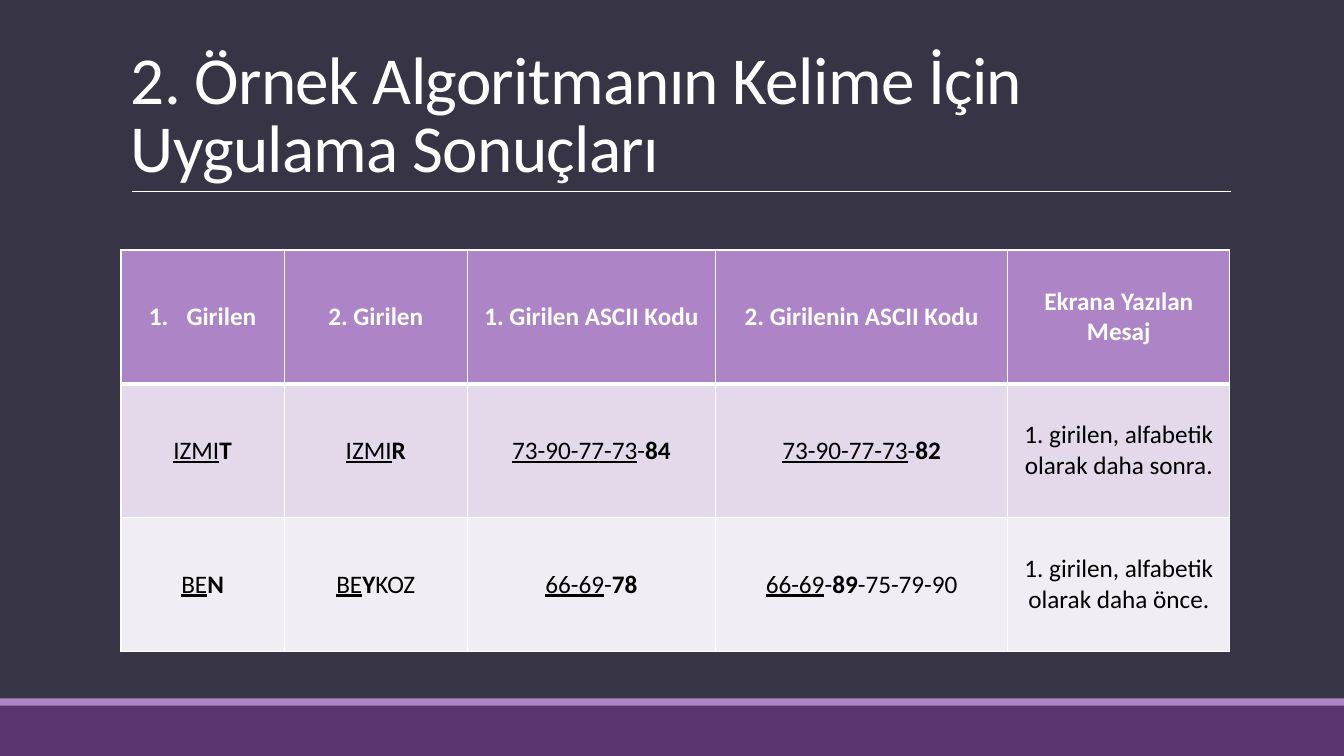
import pptx
import pptx.dml.color
import pptx.enum.shapes
import pptx.enum.text
import pptx.oxml
import pptx.oxml.ns
import pptx.util
from dataclasses import dataclass
from pptx.util import Cm


@dataclass(frozen=True)
class Theme:
    font: str = "Calibri"
    title_size: int = 48
    table_size: int = 18
    background: str = "373545"
    light: str = "FFFFFF"
    dark: str = "000000"
    band: str = "5A3471"
    accent: str = "AD84C6"
    row_fills: tuple = ("AD84C6", "E3D9EA", "F1EDF5")


def rgb(value):
    return pptx.dml.color.RGBColor.from_string(value)


def drawing_element(tag, attributes="", content=""):
    namespace = pptx.oxml.ns.nsdecls("a")
    return pptx.oxml.parse_xml(f"<a:{tag} {namespace} {attributes}>{content}</a:{tag}>")


class SlideBuilder:
    def __init__(self, slide, theme):
        self.slide = slide
        self.theme = theme
        fill = slide.background.fill
        fill.solid()
        fill.fore_color.rgb = rgb(theme.background)

    def style_run(self, span, size, color, bold=False, underline=False):
        span.font.name = self.theme.font
        span.font.size = pptx.util.Pt(size)
        span.font.color.rgb = rgb(color)
        span.font.bold = bold
        span.font.underline = underline

    def bar(self, top, height, color):
        bar = self.slide.shapes.add_shape(
            pptx.enum.shapes.MSO_SHAPE.RECTANGLE, 0, Cm(top), Cm(33.87), Cm(height))
        bar.shadow.inherit = False
        bar.fill.solid()
        bar.fill.fore_color.rgb = rgb(color)
        bar.line.fill.background()

    def rule(self, left, right, top):
        rule = self.slide.shapes.add_connector(
            pptx.enum.shapes.MSO_CONNECTOR.STRAIGHT, Cm(left), Cm(top), Cm(right), Cm(top))
        rule.line.color.rgb = rgb(self.theme.light)
        rule.line.width = pptx.util.Pt(0.5)
        rule._element.spPr.append(drawing_element("effectLst"))

    def title(self, text, left, top, width, height):
        box = self.slide.shapes.add_textbox(Cm(left), Cm(top), Cm(width), Cm(height))
        frame = box.text_frame
        frame.text = text
        frame.word_wrap = True
        frame.vertical_anchor = pptx.enum.text.MSO_ANCHOR.BOTTOM
        para = frame.paragraphs[0]
        para.line_spacing = 0.85
        span = para.runs[0]
        self.style_run(span, self.theme.title_size, self.theme.light)
        span.font._element.set("spc", "-50")

    def table(self, rows, left, top, widths, row_height):
        table = self.slide.shapes.add_table(
            len(rows), len(widths), Cm(left), Cm(top),
            Cm(sum(widths)), Cm(row_height * len(rows))).table
        for column, width in zip(table.columns, widths):
            column.width = Cm(width)
        for row_index, row in enumerate(rows):
            table.rows[row_index].height = Cm(row_height)
            for column_index, spans in enumerate(row):
                self.cell(table.cell(row_index, column_index), spans, row_index)
        self.number(table.cell(0, 0).text_frame.paragraphs[0])

    def cell(self, cell, spans, row_index):
        cell.fill.solid()
        cell.fill.fore_color.rgb = rgb(self.theme.row_fills[row_index])
        cell.vertical_anchor = pptx.enum.text.MSO_ANCHOR.MIDDLE
        para = cell.text_frame.paragraphs[0]
        para.alignment = pptx.enum.text.PP_ALIGN.CENTER
        color = self.theme.dark if row_index else self.theme.light
        for text, style in spans:
            span = para.add_run()
            span.text = text
            self.style_run(span, self.theme.table_size, color, style == "b", style == "u")
        # The header is set off by a thicker line on both sides of the shared edge
        self.borders(cell, top=3 if row_index == 1 else 1, bottom=1 if row_index else 3)

    def borders(self, cell, top, bottom):
        properties = cell._tc.get_or_add_tcPr()
        line_fill = f'<a:solidFill><a:srgbClr val="{self.theme.light}"/></a:solidFill>'
        sides = (("lnL", 1), ("lnR", 1), ("lnT", top), ("lnB", bottom))
        for position, (side, points) in enumerate(sides):
            width = pptx.util.Pt(points)
            properties.insert(position, drawing_element(side, f'w="{width}"', line_fill))

    def number(self, para):
        properties = para._p.get_or_add_pPr()
        properties.set("marL", str(Cm(0.95)))
        properties.set("indent", str(-Cm(0.95)))
        properties.append(drawing_element("buAutoNum", 'type="arabicPeriod"'))


HEADERS = ("Girilen", "2. Girilen", "1. Girilen ASCII Kodu",
           "2. Girilenin ASCII Kodu", "Ekrana Yazılan Mesaj")

# Each cell is a list of (text, style): u = shared prefix, b = deciding letter
RESULTS = [
    [[("IZMI", "u"), ("T", "b")],
     [("IZMI", "u"), ("R", "b")],
     [("73-90-77-73", "u"), ("-", ""), ("84", "b")],
     [("73-90-77-73", "u"), ("-", ""), ("82", "b")],
     [("1. girilen, alfabetik olarak daha sonra.", "")]],
    [[("BE", "u"), ("N", "b")],
     [("BE", "u"), ("Y", "b"), ("KOZ", "")],
     [("66-69", "u"), ("-", ""), ("78", "b")],
     [("66-69", "u"), ("-", ""), ("89", "b"), ("-75-79-90", "")],
     [("1. girilen, alfabetik olarak daha önce.", "")]],
]


def main():
    deck = pptx.Presentation()
    deck.slide_width, deck.slide_height = Cm(33.87), Cm(19.05)
    theme = Theme()
    page = SlideBuilder(deck.slides.add_slide(deck.slide_layouts[6]), theme)

    # Footer bands and title rule
    page.bar(17.78, 1.27, theme.band)
    page.bar(17.6, 0.18, theme.accent)
    page.rule(3.33, 31.01, 4.83)

    # Title
    page.title("2. Örnek Algoritmanın Kelime İçin Uygulama Sonuçları",
               3.05, 0.79, 27.94, 4.04)

    # Results table
    header_row = [[(text, "b")] for text in HEADERS]
    page.table([header_row] + RESULTS, 3.05, 6.3,
               (4.11, 4.62, 6.25, 7.37, 5.59), 3.37)

    deck.save("out.pptx")


if __name__ == "__main__":
    main()
